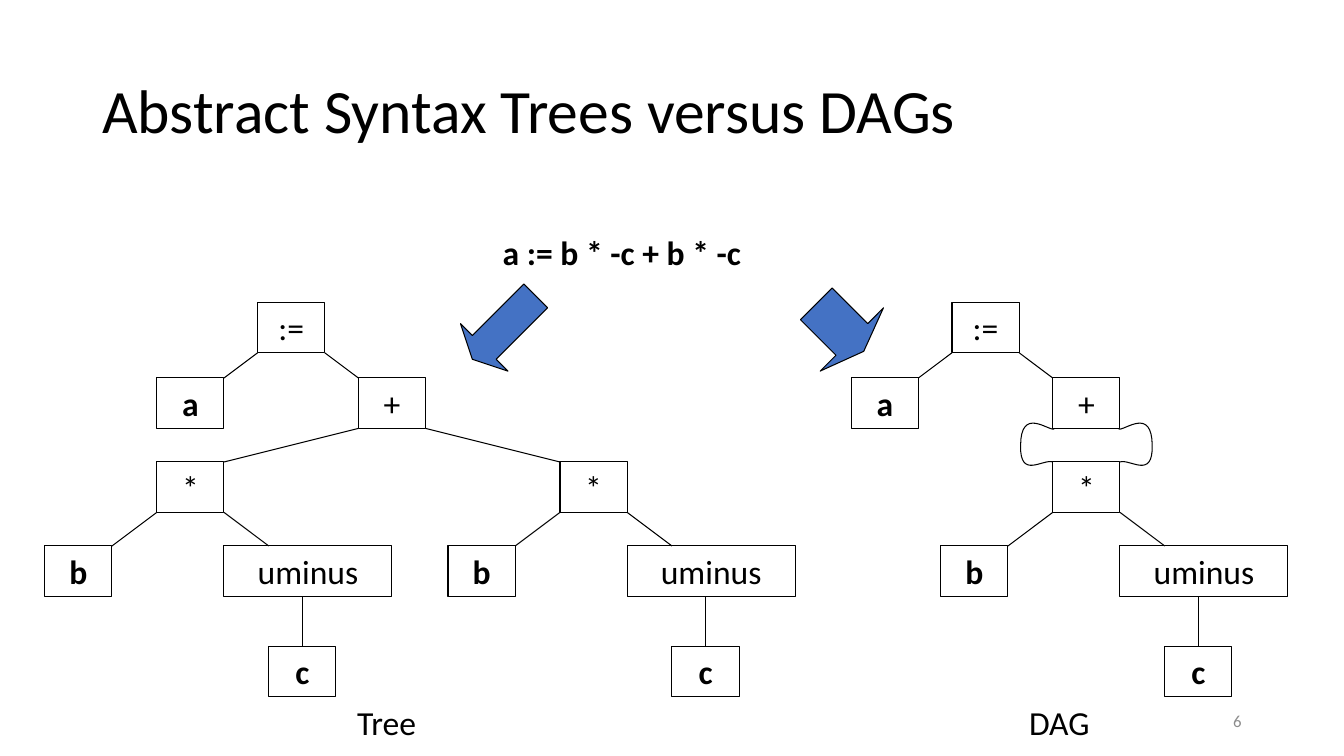
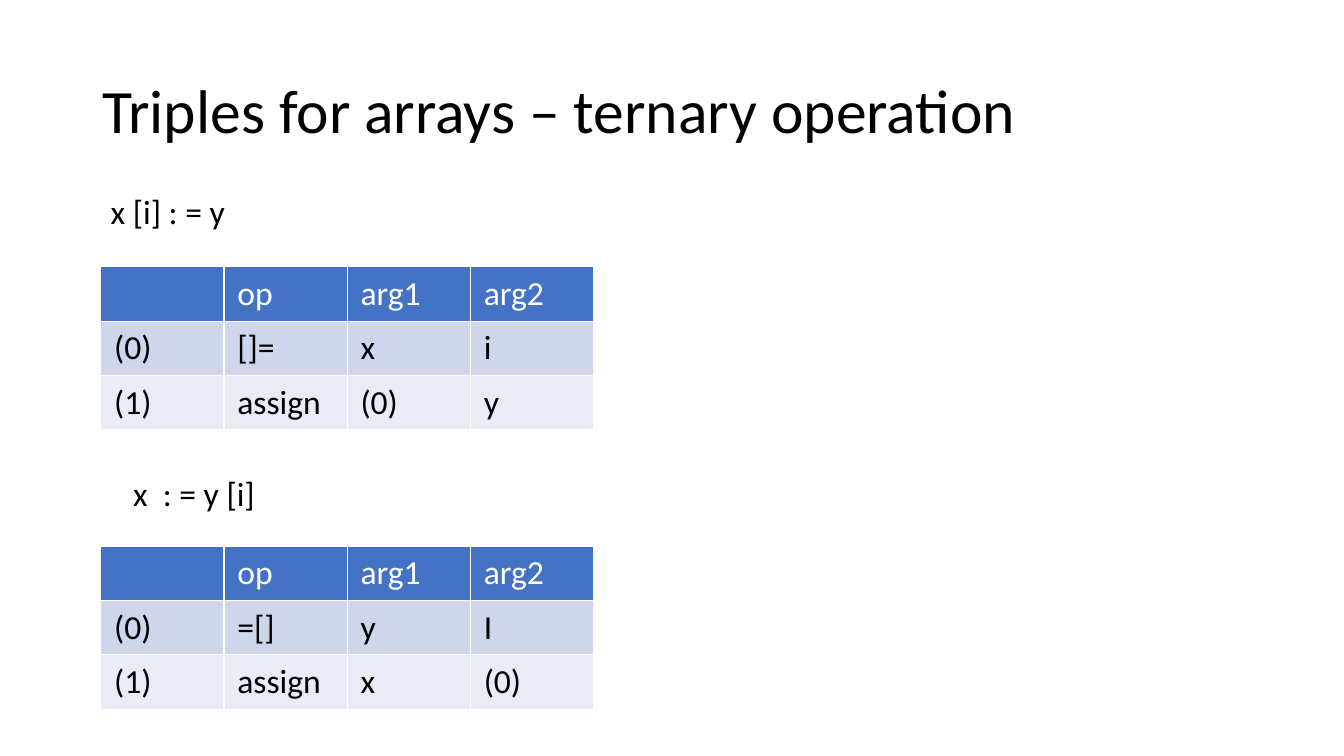
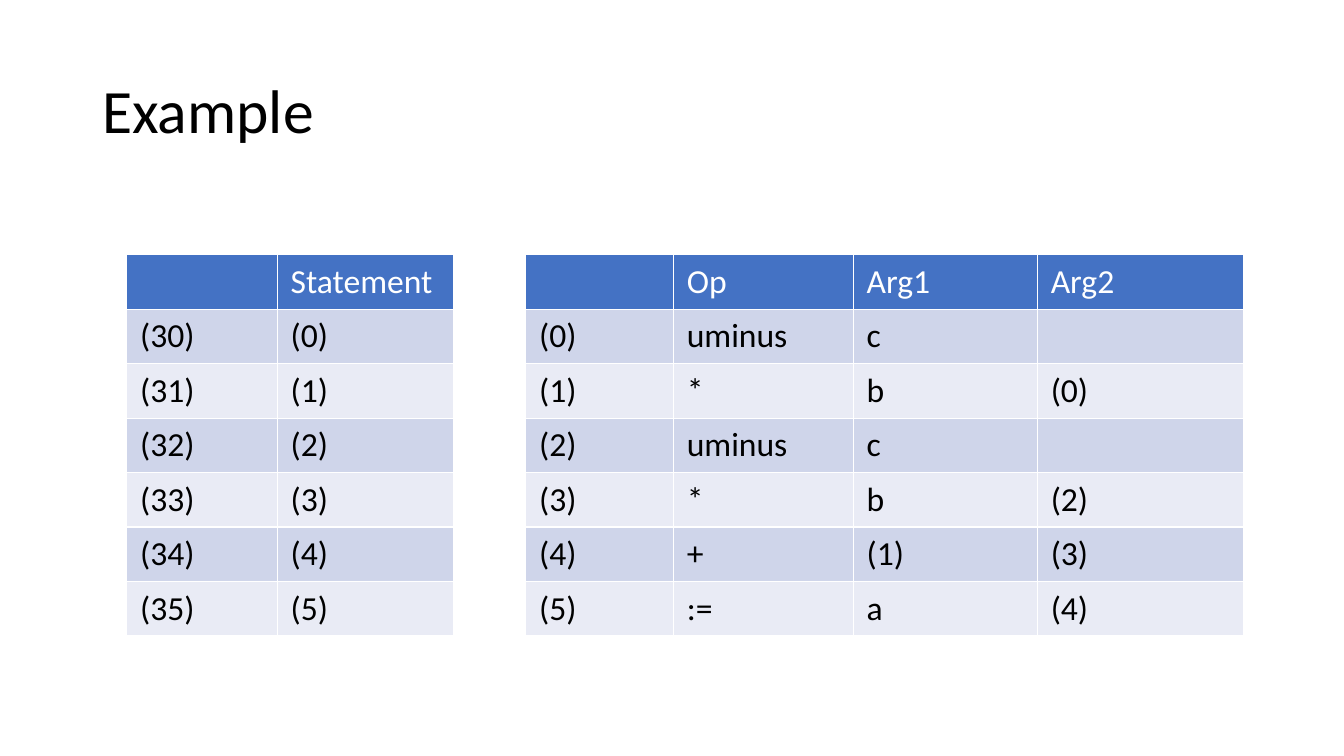
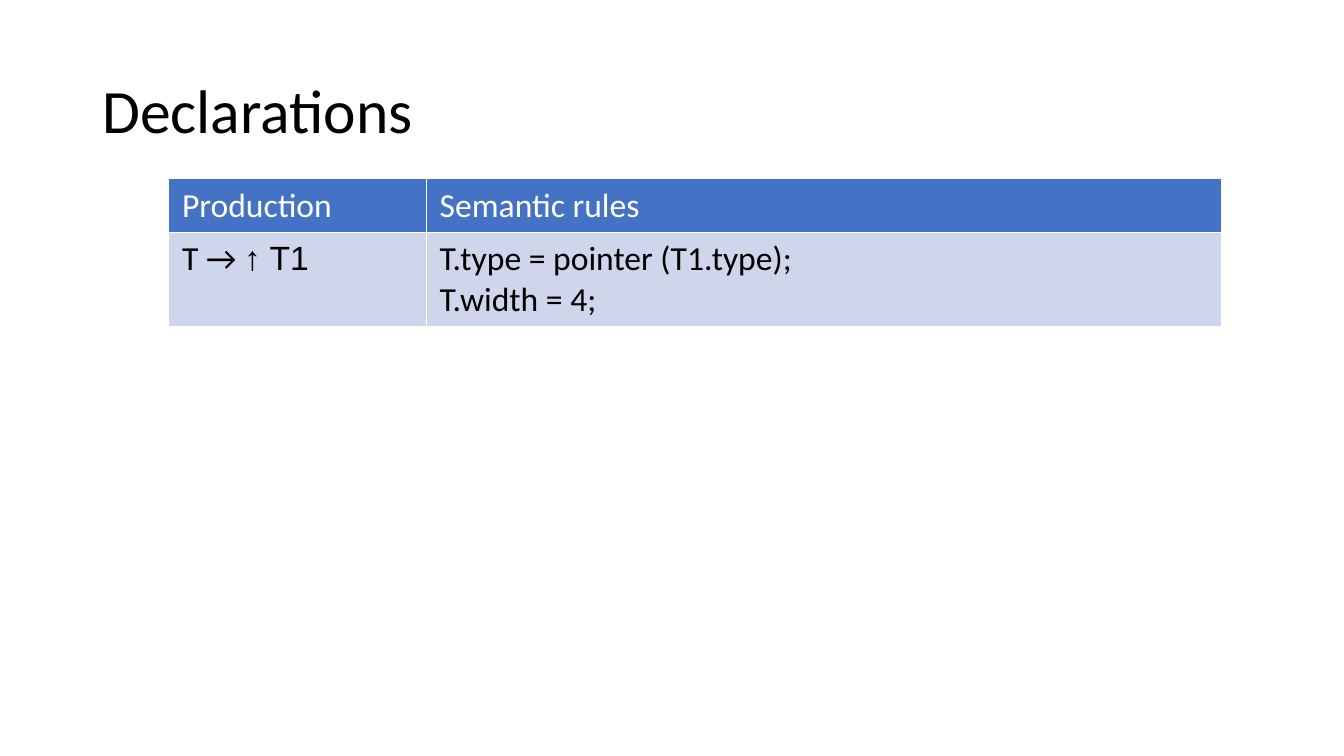
from lxml.etree import SubElement
from pptx import Presentation
from pptx.dml.color import RGBColor
from pptx.enum.shapes import MSO_CONNECTOR, MSO_SHAPE
from pptx.enum.text import MSO_ANCHOR, PP_ALIGN
from pptx.oxml.ns import qn
from pptx.util import Pt

BLACK, WHITE, GREY = "000000", "FFFFFF", "8C8C8C"
BLUE, BANDS = "4472C4", ("CFD5EA", "E9EBF5")

NODE_WIDTH, NODE_HEIGHT, UMINUS_WIDTH = 48, 36, 120
LEVEL_TOPS = (216, 270, 330, 390, 461.5)
CHILD_SHIFT = 72
OPERAND_SHIFT = 80
UMINUS_INSET = 32

SYNTAX_GRAPHS = [
    {"root": 184, "products": (112, 400)},
    {"root": 680, "products": (752,)},
]
SHARED_EDGE = [
    [(799, 306.5), (803, 308), (823, 290), (823, 318.5)],
    [(823, 318.5), (823.5, 342.5), (807, 327.5), (800, 330)],
]
SHARED_EDGE_AXIS = 776
CAPTIONS = [
    ("Tree", 248, 498, 58, False),
    ("DAG", 728, 498, 58, False),
    ("a := b * -c + b * -c", 352, 162, 186.5, True),
]
ARROWS = [(576, 202, 48, 64, 45), (328, 210, 64, 48, 135)]

ARRAY_TRIPLES = [
    ("x [i] : = y", 72, 133, 190.5, [
        ["", "op", "arg1", "arg2"],
        ["(0)", "[]=", "x", "i"],
        ["(1)", "assign", "(0)", "y"],
    ]),
    ("x  : = y [i]", 88, 334, 390, [
        ["", "op", "arg1", "arg2"],
        ["(0)", "=[]", "y", "I"],
        ["(1)", "assign", "x", "(0)"],
    ]),
]
STATEMENTS = [["", "Statement"]] + [[f"({30 + n})", f"({n})"] for n in range(6)]
TRIPLES = [
    ["", "Op", "Arg1", "Arg2"],
    ["(0)", "uminus", "c", ""],
    ["(1)", "*", "b", "(0)"],
    ["(2)", "uminus", "c", ""],
    ["(3)", "*", "b", "(2)"],
    ["(4)", "+", "(1)", "(3)"],
    ["(5)", ":=", "a", "(4)"],
]
DECLARATIONS = [
    ["Production", "Semantic rules"],
    [[[("T → ", "Calibri"), ("↑ T1", "Arial")]],
     ["T.type = pointer (T1.type);", "T.width = 4;"]],
]


def rgb(value):
    return RGBColor.from_string(value)


def write(frame, content, size=24, color=BLACK, bold=False, align=PP_ALIGN.LEFT,
          spacing=None, anchor=MSO_ANCHOR.TOP, wrap=True):
    frame.word_wrap = wrap
    frame.vertical_anchor = anchor
    lines = [content] if isinstance(content, str) else content
    for index, line in enumerate(lines):
        paragraph = frame.add_paragraph() if index else frame.paragraphs[0]
        paragraph.alignment = align
        if spacing:
            paragraph.line_spacing = spacing
        for words, face in [(line, "Calibri")] if isinstance(line, str) else line:
            run = paragraph.add_run()
            run.text = words
            run.font.name = face
            run.font.size = Pt(size)
            run.font.bold = bold
            run.font.color.rgb = rgb(color)


def add_text(slide, content, left, top, width, height=36, **style):
    box = slide.shapes.add_textbox(Pt(left), Pt(top), Pt(width), Pt(height))
    write(box.text_frame, content, **style)


def add_titled_slide(deck, title):
    slide = deck.slides.add_slide(deck.slide_layouts[6])
    add_text(slide, title, 66, 28.75, 828, 104.4, size=44, spacing=0.9,
             anchor=MSO_ANCHOR.MIDDLE)
    return slide


def outline(shape, fill=None):
    shape.shadow.inherit = False
    shape.line.color.rgb = rgb(BLACK)
    shape.line.width = Pt(0.75)
    if fill:
        shape.fill.solid()
        shape.fill.fore_color.rgb = rgb(fill)
    else:
        shape.fill.background()


def add_node(slide, label, left, level, width=NODE_WIDTH):
    node = slide.shapes.add_shape(MSO_SHAPE.RECTANGLE, Pt(left), Pt(LEVEL_TOPS[level]),
                                  Pt(width), Pt(NODE_HEIGHT))
    outline(node)
    write(node.text_frame, label, bold=label in ("a", "b", "c"), align=PP_ALIGN.CENTER)
    return node


def add_edge(slide, start_x, end_x, level):
    edge = slide.shapes.add_connector(
        MSO_CONNECTOR.STRAIGHT, Pt(start_x), Pt(LEVEL_TOPS[level] + NODE_HEIGHT),
        Pt(end_x), Pt(LEVEL_TOPS[level + 1]))
    edge.line.color.rgb = rgb(BLACK)
    edge.line.width = Pt(0.75)
    SubElement(edge._element.spPr, qn("a:effectLst"))
    return edge


def add_branches(slide, parent, left_child, right_child, level, inset=0):
    add_edge(slide, parent, left_child + NODE_WIDTH, level)
    add_edge(slide, parent + NODE_WIDTH, right_child + inset, level)


def add_product(slide, left):
    b_left, uminus_left = left - OPERAND_SHIFT, left + NODE_WIDTH
    c_left = uminus_left + UMINUS_INSET
    c_middle = c_left + NODE_WIDTH / 2
    add_node(slide, "*", left, 2)
    add_node(slide, "b", b_left, 3)
    add_node(slide, "uminus", uminus_left, 3, UMINUS_WIDTH)
    c_node = add_node(slide, "c", c_left, 4)
    add_branches(slide, left, b_left, uminus_left, 2, UMINUS_INSET)
    add_edge(slide, c_middle, c_middle, 3).end_connect(c_node, 0)


def curve_point(controls, t):
    weights = ((1 - t) ** 3, 3 * t * (1 - t) ** 2, 3 * t ** 2 * (1 - t), t ** 3)
    return tuple(sum(w * point[axis] for w, point in zip(weights, controls))
                 for axis in (0, 1))


def add_shared_edge(slide, mirrored):
    points = [curve_point(part, step / 16) for part in SHARED_EDGE for step in range(17)]
    if mirrored:
        points = [(2 * SHARED_EDGE_AXIS - x, y) for x, y in points]
    places = [(Pt(x), Pt(y)) for x, y in points]
    builder = slide.shapes.build_freeform(*places[0])
    builder.add_line_segments(places[1:], close=False)
    outline(builder.convert_to_shape())


def add_syntax_graph(slide, root, products):
    a_left, plus_left = root - CHILD_SHIFT, root + CHILD_SHIFT
    add_node(slide, ":=", root, 0)
    add_node(slide, "a", a_left, 1)
    add_node(slide, "+", plus_left, 1)
    add_branches(slide, root, a_left, plus_left, 0)
    for left in products:
        add_product(slide, left)
    if len(products) == 2:
        add_branches(slide, plus_left, *products, 1)
    else:
        for mirrored in (False, True):
            add_shared_edge(slide, mirrored)


def add_grid(slide, rows, left, top, widths, heights=None):
    heights = heights or [38.9] * len(rows)
    table = slide.shapes.add_table(len(rows), len(widths), Pt(left), Pt(top),
                                   Pt(sum(widths)), Pt(sum(heights))).table
    for column, width in zip(table.columns, widths):
        column.width = Pt(width)
    for r, (row, height) in enumerate(zip(rows, heights)):
        table.rows[r].height = Pt(height)
        for c, content in enumerate(row):
            cell = table.cell(r, c)
            cell.margin_left = cell.margin_right = Pt(9.6)
            cell.margin_top = cell.margin_bottom = Pt(4.8)
            cell.fill.solid()
            cell.fill.fore_color.rgb = rgb(BANDS[(r - 1) % 2] if r else BLUE)
            if content:
                write(cell.text_frame, content, color=BLACK if r else WHITE)


def build_graphs(deck):
    slide = add_titled_slide(deck, "Abstract Syntax Trees versus DAGs")
    add_text(slide, "6", 678, 500.5, 216, 28.75, size=12, color=GREY,
             align=PP_ALIGN.RIGHT, anchor=MSO_ANCHOR.MIDDLE)
    for graph in SYNTAX_GRAPHS:
        add_syntax_graph(slide, **graph)
    for caption, left, top, width, bold in CAPTIONS:
        add_text(slide, caption, left, top, width, bold=bold, wrap=False)
    for left, top, width, height, angle in ARROWS:
        arrow = slide.shapes.add_shape(MSO_SHAPE.RIGHT_ARROW, Pt(left), Pt(top),
                                       Pt(width), Pt(height))
        arrow.adjustments[0], arrow.adjustments[1] = 0.5, 0.25
        arrow.rotation = angle
        outline(arrow, BLUE)


def build_tables(deck):
    arrays = add_titled_slide(deck, "Triples for arrays – ternary operation")
    for statement, left, top, table_top, rows in ARRAY_TRIPLES:
        add_text(arrays, statement, left, top, 192)
        add_grid(arrays, rows, 72, table_top, [88] * 4)

    example = add_titled_slide(deck, "Example")
    add_grid(example, STATEMENTS, 90.5, 182, [107.5, 126])
    add_grid(example, TRIPLES, 375.5, 182, [105.5, 128.5, 131.5, 147])

    declarations = add_titled_slide(deck, "Declarations")
    add_grid(declarations, DECLARATIONS, 120.5, 127.5, [184, 568], [38.4, 67.2])


def main():
    deck = Presentation()
    deck.slide_width, deck.slide_height = Pt(960), Pt(540)
    build_graphs(deck)
    build_tables(deck)
    deck.save("out.pptx")


if __name__ == "__main__":
    main()
